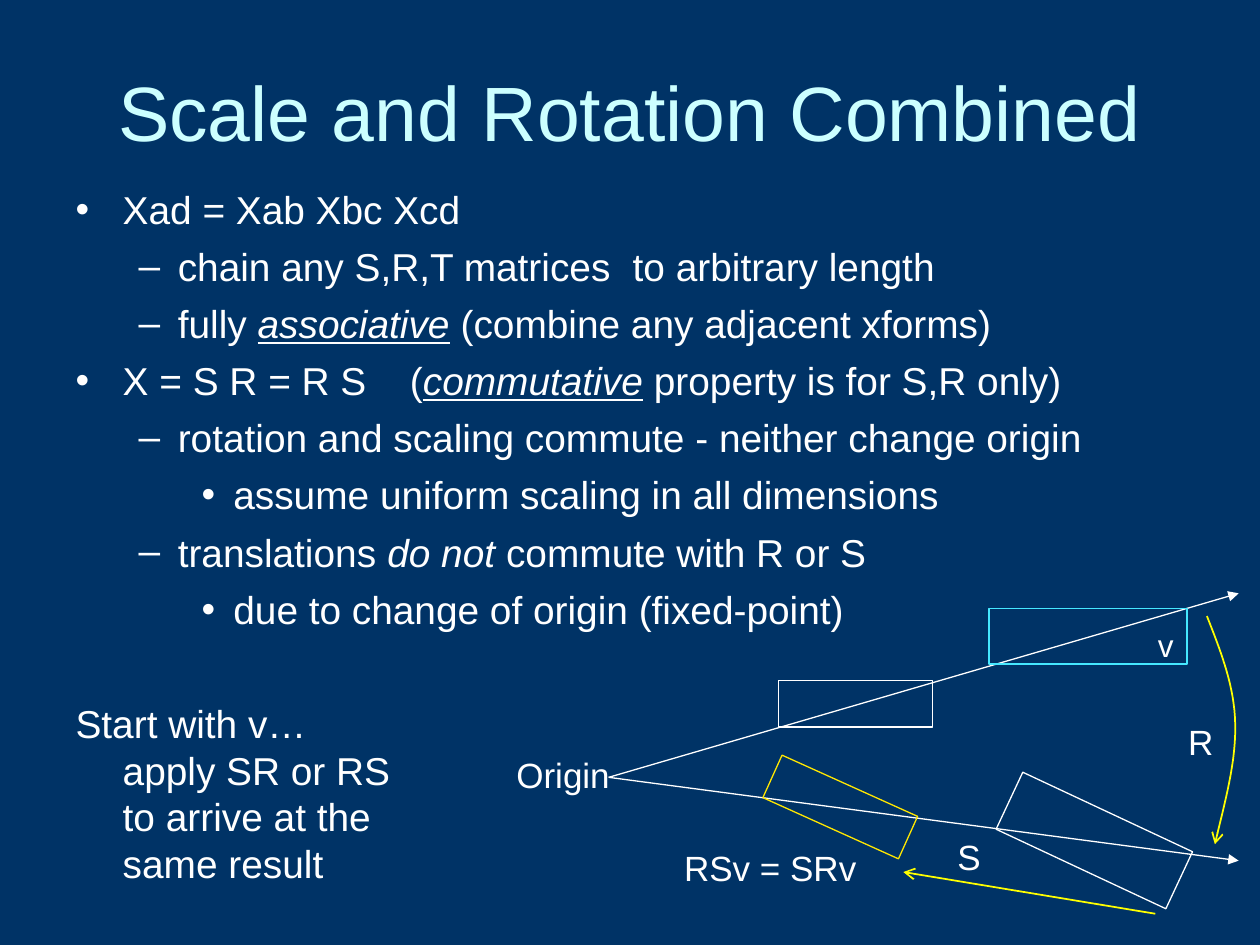
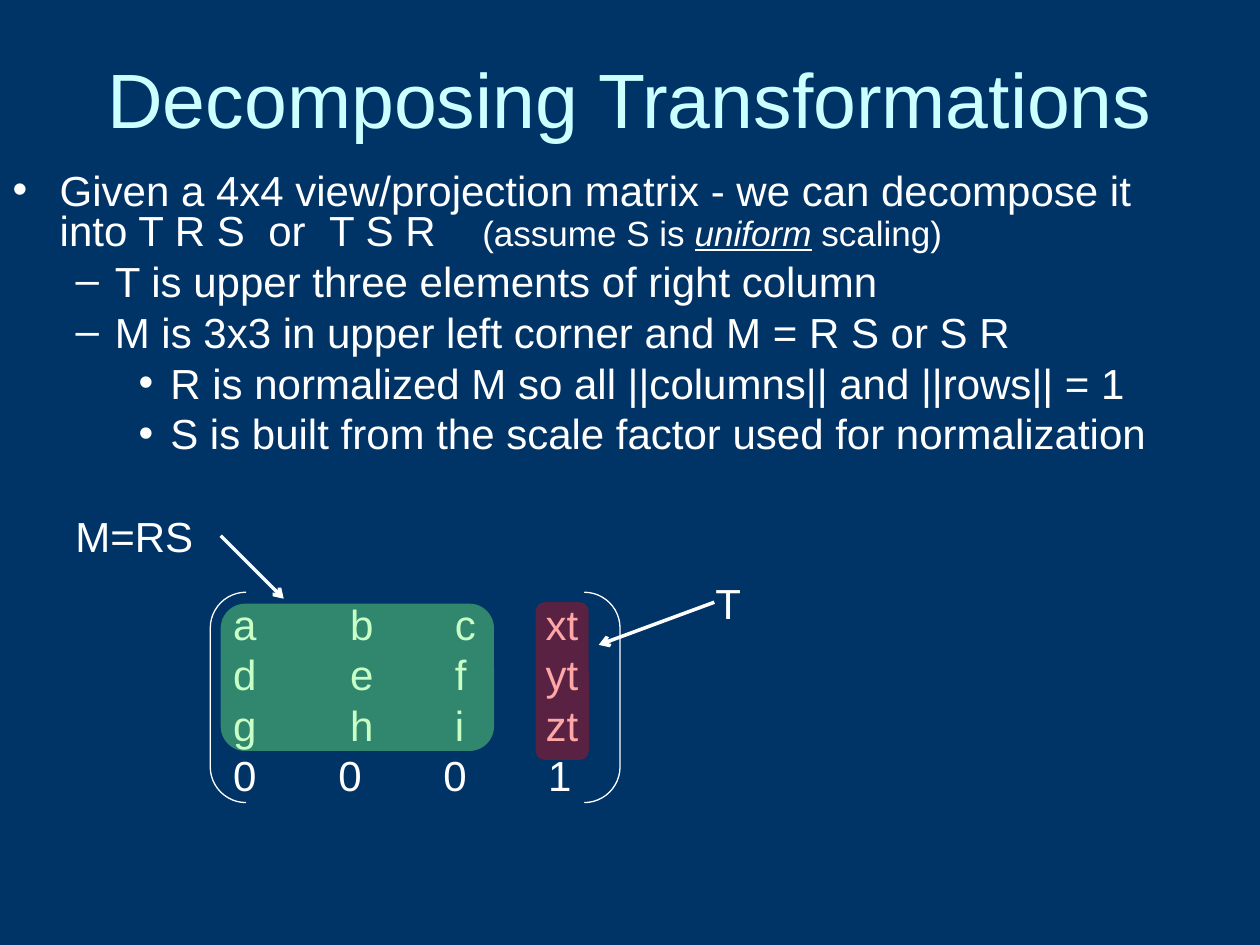
"""Build two slides on combining and decomposing scale, rotation and translation."""
from dataclasses import dataclass
from typing import NamedTuple

from lxml.etree import SubElement
from pptx import Presentation
from pptx.dml.color import RGBColor
from pptx.enum.shapes import MSO_CONNECTOR as Connector, MSO_SHAPE as Preset
from pptx.enum.text import MSO_ANCHOR as Anchor, MSO_AUTO_SIZE as AutoSize, PP_ALIGN as Align
from pptx.oxml.ns import qn
from pptx.util import Cm, Pt


@dataclass(frozen=True)
class Theme:
    font: str = "Arial"
    background: str = "003366"
    title: str = "CCFFFF"
    text: str = "FFFFFF"
    cyan: str = "46E8FF"
    gold: str = "FFE701"
    yellow: str = "FFFF00"
    green: str = "79FF79"
    red: str = "FF0000"
    title_size: float = 44
    list_size: float = 24
    small_list_size: float = 22.2
    label_size: float = 20
    vertex_size: float = 18
    thin: float = 0.75
    medium: float = 1
    thick: float = 2


THEME = Theme()


class Box(NamedTuple):
    left: float
    top: float
    width: float
    height: float

    def lengths(self) -> list[Cm]:
        return [Cm(value) for value in self]


class Point(NamedTuple):
    x: float
    y: float


class Run(NamedTuple):
    text: str
    italic: bool = False
    underline: bool = False
    size: float | None = None
    gap: float = 0


class Item(NamedTuple):
    level: int
    runs: list[Run]


class Label(NamedTuple):
    text: str
    box: Box
    size: float = THEME.label_size


class Outline(NamedTuple):
    box: Box
    color: str
    rotation: float = 0


class Arrow(NamedTuple):
    start: Point
    end: Point
    color: str = THEME.text
    width: float = THEME.thin
    head: str = "arrow"


class Level(NamedTuple):
    margin: float
    hanging: float
    bullet: str


LEVELS = [Level(0.95, 0.95, "•"), Level(2.06, 0.79, "–"), Level(3.18, 0.64, "•")]


def write_text(paragraph, text: str, *, size: float, color: str = THEME.text,
               italic: bool = False, underline: bool = False, gap: float = 0) -> None:
    """Add one formatted run, with extra letter spacing in points if asked."""
    run = paragraph.add_run()
    run.text = text
    font = run.font
    font.name, font.size = THEME.font, Pt(size)
    font.color.rgb = RGBColor.from_string(color)
    font.italic, font.underline = italic, underline
    if gap:
        font_element = run._r.get_or_add_rPr()
        font_element.set("spc", str(round(gap * 100)))


def place(shape, box: Box) -> None:
    """Move and size a shape."""
    shape.left, shape.top, shape.width, shape.height = box.lengths()


def start_slide(presentation, title: str, title_box: Box, body_box: Box):
    """Add a slide with its title and return it with its body frame."""
    slide = presentation.slides.add_slide(presentation.slide_layouts[1])
    slide.background.fill.solid()
    slide.background.fill.fore_color.rgb = RGBColor.from_string(THEME.background)
    heading, body = slide.shapes.title, slide.placeholders[1]
    place(heading, title_box)
    place(body, body_box)
    for frame in (heading.text_frame, body.text_frame):
        frame.auto_size = AutoSize.NONE
        frame.word_wrap = True
    heading.text_frame.vertical_anchor = Anchor.MIDDLE
    paragraph = heading.text_frame.paragraphs[0]
    paragraph.alignment = Align.CENTER
    write_text(paragraph, title, size=THEME.title_size, color=THEME.title)
    return slide, body.text_frame


def next_paragraph(frame):
    """Return the first paragraph while it is unused, else a new one."""
    first = frame.paragraphs[0]
    return first if not first.runs else frame.add_paragraph()


def set_level(paragraph, number: int, *, bulleted: bool = True) -> None:
    """Give a paragraph the indent and bullet of its level."""
    level = LEVELS[number]
    paragraph.level = number
    properties = paragraph._p.get_or_add_pPr()
    properties.set("marL", str(Cm(level.margin)))
    properties.set("indent", str(-Cm(level.hanging)))
    if bulleted:
        SubElement(properties, qn("a:buChar")).set("char", level.bullet)
    else:
        SubElement(properties, qn("a:buNone"))


def write_list(frame, items: list[Item], size: float, line_spacing: float) -> None:
    """Write a bulleted list with mixed runs."""
    for item in items:
        paragraph = next_paragraph(frame)
        paragraph.space_before = Pt(6)
        paragraph.line_spacing = line_spacing
        set_level(paragraph, item.level)
        for run in item.runs:
            write_text(paragraph, run.text, size=run.size or size, italic=run.italic,
                       underline=run.underline, gap=run.gap)


def add_label(slide, label: Label):
    """Add a text box and return its frame."""
    frame = slide.shapes.add_textbox(*label.box.lengths()).text_frame
    frame.word_wrap = True
    if label.text:
        write_text(frame.paragraphs[0], label.text, size=label.size)
    return frame


def style_line(shape, color: str, width: float, head: str = "") -> None:
    """Set a line's colour, width and arrowhead."""
    shape.line.color.rgb = RGBColor.from_string(color)
    shape.line.width = Pt(width)
    if head:
        line = shape.element.spPr.find(qn("a:ln"))
        SubElement(line, qn("a:tailEnd")).set("type", head)


def add_outline(slide, outline: Outline, preset: Preset = Preset.RECTANGLE):
    """Add an unfilled preset shape."""
    shape = slide.shapes.add_shape(preset, *outline.box.lengths())
    shape.shadow.inherit = False
    shape.fill.background()
    shape.rotation = outline.rotation
    style_line(shape, outline.color, THEME.thin)
    return shape


def add_highlight(slide, box: Box, color: str, opacity: int) -> None:
    """Add a translucent rounded panel."""
    shape = slide.shapes.add_shape(Preset.ROUNDED_RECTANGLE, *box.lengths())
    shape.shadow.inherit = False
    shape.fill.solid()
    shape.fill.fore_color.rgb = RGBColor.from_string(color)
    shape.line.fill.background()
    fill_color = shape.element.spPr.find(qn("a:solidFill")).find(qn("a:srgbClr"))
    SubElement(fill_color, qn("a:alpha")).set("val", str(opacity * 1000))


def add_arrow(slide, arrow: Arrow) -> None:
    """Add a straight arrow."""
    ends = [Cm(value) for value in (*arrow.start, *arrow.end)]
    connector = slide.shapes.add_connector(Connector.STRAIGHT, *ends)
    style_line(connector, arrow.color, arrow.width, arrow.head)
    SubElement(connector.element.spPr, qn("a:effectLst"))


def bezier(controls: list[Point], steps: int = 16) -> list[tuple[Cm, Cm]]:
    """Return points along a cubic curve, without its start."""
    points = []
    for step in range(1, steps + 1):
        t = step / steps
        weights = ((1 - t) ** 3, 3 * t * (1 - t) ** 2, 3 * t * t * (1 - t), t ** 3)
        x, y = (sum(w * value for w, value in zip(weights, axis)) for axis in zip(*controls))
        points.append((Cm(x), Cm(y)))
    return points


def add_curved_arrow(slide, controls: list[Point], color: str) -> None:
    """Add an arrow along joined cubic curves."""
    start = controls[0]
    builder = slide.shapes.build_freeform(Cm(start.x), Cm(start.y))
    for index in range(0, len(controls) - 1, 3):
        builder.add_line_segments(bezier(controls[index:index + 4]), close=False)
    shape = builder.convert_to_shape()
    shape.shadow.inherit = False
    shape.fill.background()
    style_line(shape, color, THEME.medium, "arrow")


def add_combined_slide(presentation) -> None:
    """Build the slide on combining scale and rotation."""
    slide, body = start_slide(presentation, "Scale and Rotation Combined",
                              Box(1.27, 0.64, 22.86, 3.18), Box(1.27, 3.61, 23.29, 14.17))
    write_list(body, [
        Item(0, [Run("Xad = Xab Xbc Xcd")]),
        Item(1, [Run("chain any S,R,T matrices"), Run(" ", gap=6.2), Run("to arbitrary length")]),
        Item(1, [Run("fully "), Run("associative", True, True),
                 Run(" (combine any adjacent xforms)")]),
        Item(0, [Run("X = S R = R S"), Run(" ", gap=18.5), Run("("),
                 Run("commutative", True, True), Run(" property is for S,R only)")]),
        Item(1, [Run("rotation and scaling commute - neither change origin")]),
        Item(2, [Run("assume uniform scaling in all dimensions")]),
        Item(1, [Run("translations "), Run("do not ", True), Run("commute with R or S")]),
        Item(2, [Run("due to change of origin (fixed-point)")]),
    ], THEME.small_list_size, 1.0)
    closing = body.add_paragraph()
    closing.space_before = Pt(38.7)
    set_level(closing, 0, bulleted=False)
    for index, line in enumerate(["Start with v…", "apply SR or RS", "to arrive at the",
                                  "same result"]):
        if index:
            closing.add_line_break()
        write_text(closing, line, size=THEME.small_list_size)

    origin = Point(12.27, 15.67)
    for arrow in (Arrow(origin, Point(24.97, 11.96), head="triangle"),
                  Arrow(origin, Point(24.97, 17.35), head="triangle"),
                  Arrow(Point(23.29, 18.42), Point(18.21, 17.58), THEME.yellow, THEME.medium)):
        add_arrow(slide, arrow)
    for outline in (Outline(Box(15.7, 13.72, 3.1, 0.94), THEME.text),
                    Outline(Box(19.94, 12.27, 3.99, 1.12), THEME.cyan),
                    Outline(Box(15.44, 15.8, 3, 0.94), THEME.gold, 24.3),
                    Outline(Box(20.17, 16.31, 3.78, 1.27), THEME.text, 25.1)):
        add_outline(slide, outline)
    for label in (Label("Origin", Box(10.16, 15.06, 2.54, 1.12)),
                  Label("R", Box(23.7, 14.4, 1.07, 1.12)),
                  Label("S", Box(19.05, 16.71, 1.07, 1.12)),
                  Label("RSv = SRv", Box(13.54, 16.94, 4.65, 1.12)),
                  Label("v", Box(23.09, 12.5, 0.83, 1.02), THEME.vertex_size)):
        add_label(slide, label)
    add_curved_arrow(slide, [
        Point(24.33, 12.42), Point(24.61, 13.13), Point(24.89, 13.84), Point(24.9, 14.6),
        Point(24.92, 15.37), Point(24.69, 16.18), Point(24.49, 17.02)], THEME.yellow)


def add_matrix(slide, box: Box) -> None:
    """Write the 4x4 matrix in columns set by tab stops."""
    frame = add_label(slide, Label("", box))
    letter_stops, number_stops = (2.36, 4.47, 6.3), (2.12, 4.24, 6.35)
    for cells, stops in (("a b c xt", letter_stops), ("d e f yt", letter_stops),
                         ("g h i zt", letter_stops), ("0 0 0 1", number_stops)):
        paragraph = next_paragraph(frame)
        tab_list = SubElement(paragraph._p.get_or_add_pPr(), qn("a:tabLst"))
        for stop in stops:
            SubElement(tab_list, qn("a:tab"), pos=str(Cm(stop)), algn="l")
        write_text(paragraph, "\t".join(cells.split()), size=THEME.list_size)


def add_decomposing_slide(presentation) -> None:
    """Build the slide on decomposing a matrix."""
    slide, body = start_slide(presentation, "Decomposing Transformations",
                              Box(1.27, 0.76, 22.86, 2.41), Box(0, 3.38, 23.5, 15.04))
    small = THEME.label_size
    write_list(body, [
        Item(0, [Run("Given a 4x4 view/projection matrix - we can decompose it into T R S"),
                 Run(" ", gap=6.7), Run("or"), Run(" ", gap=6.7), Run("T S R"),
                 Run(" ", gap=20), Run("(assume S is ", size=small),
                 Run("uniform", True, True, small), Run(" scaling)", size=small)]),
        Item(1, [Run("T is upper three elements of right column")]),
        Item(1, [Run("M is 3x3 in upper left corner and M = R S or S R")]),
        Item(2, [Run("R is normalized M so all ||columns|| and ||rows|| = 1")]),
        Item(2, [Run("S is built from the scale factor used for normalization")]),
    ], THEME.list_size, 0.8)
    brackets = add_outline(slide, Outline(Box(4.24, 11.94, 8.26, 4.24), THEME.text),
                           Preset.DOUBLE_BRACKET)
    brackets.adjustments[0] = 0.17
    add_matrix(slide, Box(4.45, 11.94, 8.46, 4.32))
    add_highlight(slide, Box(4.45, 12.17, 5.51, 2.97), THEME.green, 41)
    add_highlight(slide, Box(10.8, 12.14, 1.07, 3.18), THEME.red, 35)
    for label in (Label("T", Box(14.17, 11.51, 1.7, 1.27), THEME.list_size),
                  Label("M=RS", Box(1.27, 10.16, 3.18, 1.27), THEME.list_size)):
        add_label(slide, label)
    for start, end in ((Point(14.4, 12.14), Point(12.07, 13)),
                       (Point(4.45, 10.8), Point(5.72, 12.07))):
        add_arrow(slide, Arrow(start, end, width=THEME.thick))


def main() -> None:
    """Build and save the presentation."""
    presentation = Presentation()
    presentation.slide_width, presentation.slide_height = Cm(25.4), Cm(19.05)
    add_combined_slide(presentation)
    add_decomposing_slide(presentation)
    presentation.save("out.pptx")


if __name__ == "__main__":
    main()
